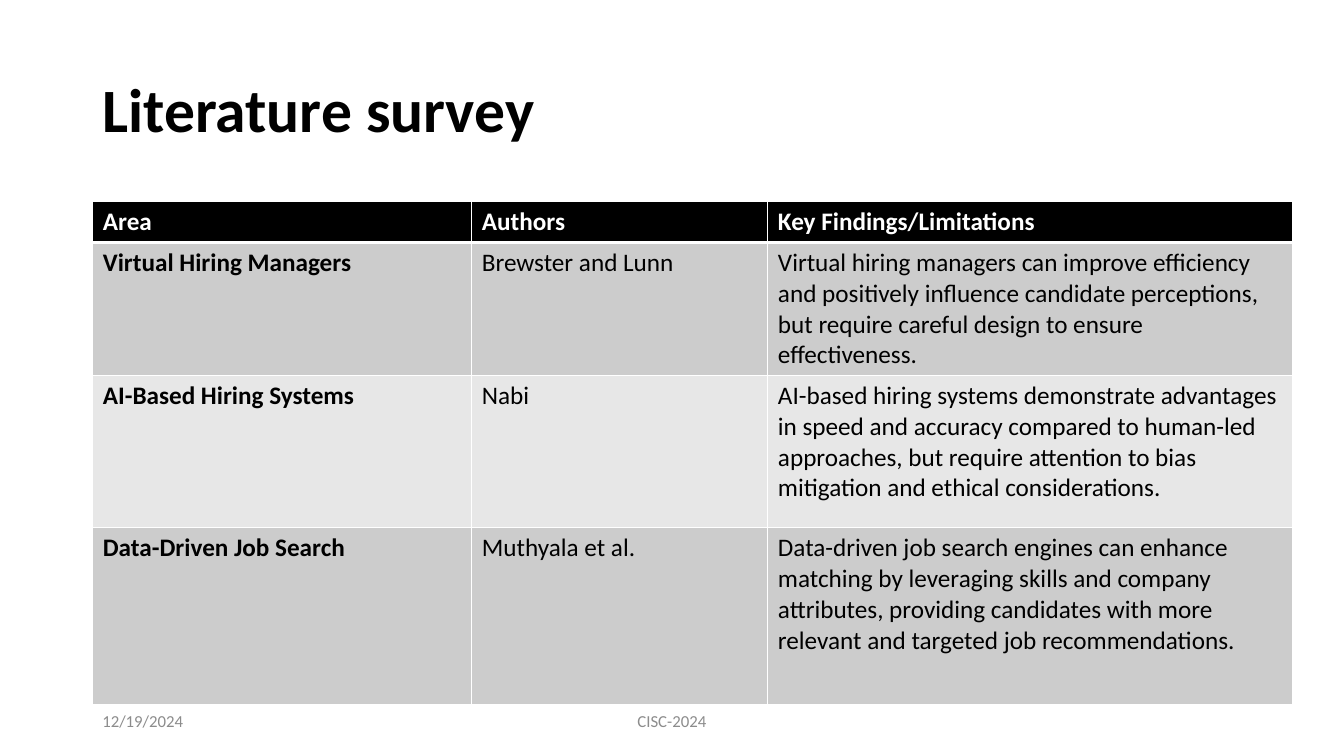
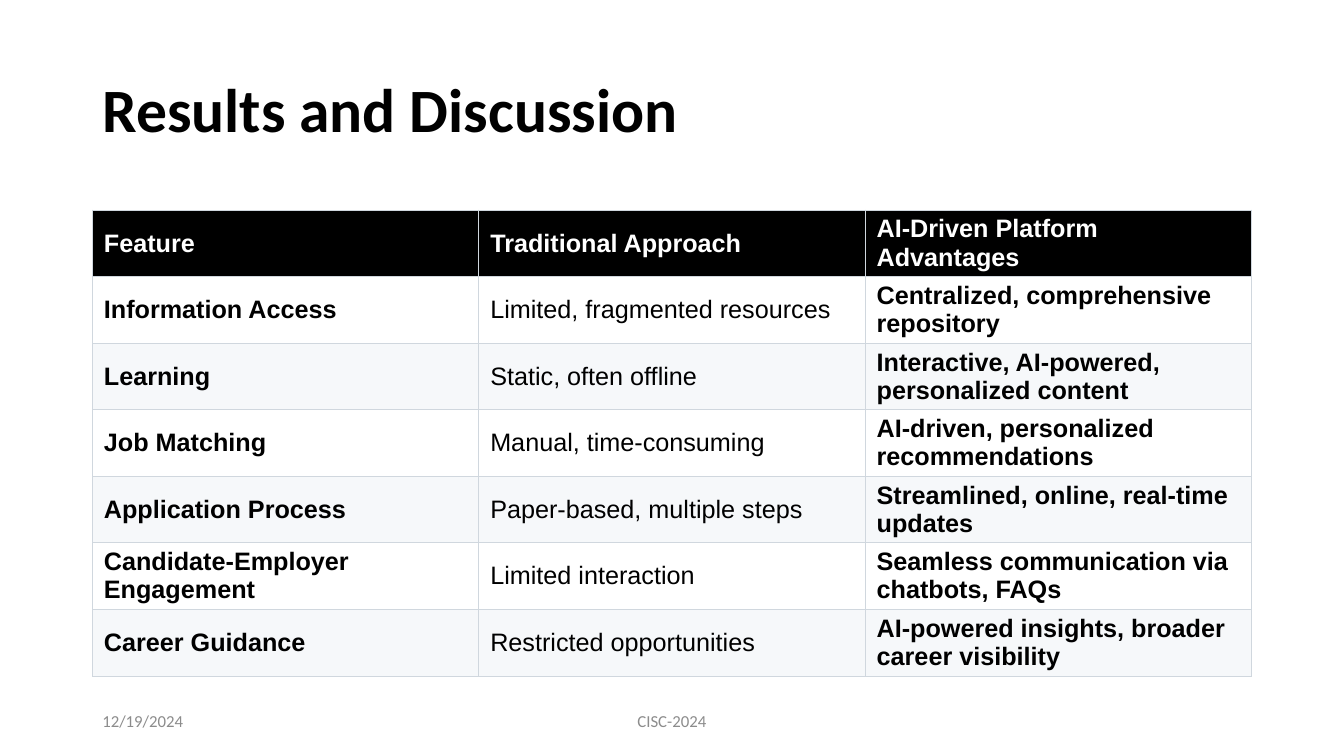
"""Builds two slides, each with a title, a comparison table and a footer."""
from dataclasses import dataclass

from lxml.etree import SubElement
from pptx import Presentation
from pptx.dml.color import RGBColor
from pptx.enum.text import MSO_ANCHOR as Anchor, MSO_AUTO_SIZE as AutoSize, PP_ALIGN as Align
from pptx.oxml.ns import qn
from pptx.util import Emu, Pt

EMU_PER_PX = 9525
TITLE_ONLY_LAYOUT = 5


@dataclass(frozen=True)
class Theme:
    heading_font: str = "Calibri"
    title_size: int = 44
    table_size: int = 18
    footer_size: int = 12
    black: str = "000000"
    white: str = "FFFFFF"
    footer_grey: str = "8C8C8C"
    dark_band: str = "CCCCCC"
    light_band: str = "E7E7E7"
    pale_band: str = "F6F8FA"
    pale_border: str = "D0D7DE"


@dataclass(frozen=True)
class Box:
    left: int
    top: int
    width: int
    height: int


@dataclass(frozen=True)
class Footer:
    text: str
    box: Box
    alignment: Align


@dataclass(frozen=True)
class TableStyle:
    font: str
    bands: tuple[str, str]
    bold_columns: tuple[int, ...]
    anchor: Anchor
    side_margin: int
    border_color: str
    border_width: float
    header_rule_width: float


@dataclass(frozen=True)
class TableSlide:
    title: str
    left: int
    top: int
    columns: tuple[int, ...]
    row_heights: tuple[int, ...]
    rows: tuple[tuple[str, ...], ...]
    style: TableStyle


THEME = Theme()
TITLE_BOX = Box(88, 38, 1104, 139)
FOOTERS = (
    Footer("12/19/2024", Box(88, 667, 288, 38), Align.LEFT),
    Footer("CISC-2024", Box(424, 667, 432, 38), Align.CENTER),
)

SURVEY = TableSlide(
    "Literature survey", 88, 192, (361, 282, 500), (38, 124, 145, 168),
    (
        ("Area", "Authors", "Key Findings/Limitations"),
        ("Virtual Hiring Managers", "Brewster and Lunn",
         "Virtual hiring managers can improve efficiency and positively influence "
         "candidate perceptions, but require careful design to ensure effectiveness."),
        ("AI-Based Hiring Systems", "Nabi",
         "AI-based hiring systems demonstrate advantages in speed and accuracy compared to "
         "human-led approaches, but require attention to bias mitigation and ethical "
         "considerations."),
        ("Data-Driven Job Search", "Muthyala et al.",
         "Data-driven job search engines can enhance matching by leveraging skills and "
         "company attributes, providing candidates with more relevant and targeted job "
         "recommendations."),
    ),
    TableStyle("Calibri", (THEME.dark_band, THEME.light_band), (0,), Anchor.TOP, 10,
               THEME.white, 1, 3),
)

RESULTS = TableSlide(
    "Results and Discussion", 88, 200, (368,) * 3, (63,) * 7,
    (
        ("Feature", "Traditional Approach", "AI-Driven Platform Advantages"),
        ("Information Access", "Limited, fragmented resources",
         "Centralized, comprehensive repository"),
        ("Learning", "Static, often offline",
         "Interactive, AI-powered, personalized content"),
        ("Job Matching", "Manual, time-consuming",
         "AI-driven, personalized recommendations"),
        ("Application Process", "Paper-based, multiple steps",
         "Streamlined, online, real-time updates"),
        ("Candidate-Employer Engagement", "Limited interaction",
         "Seamless communication via chatbots, FAQs"),
        ("Career Guidance", "Restricted opportunities",
         "AI-powered insights, broader career visibility"),
    ),
    TableStyle("Arial", (THEME.white, THEME.pale_band), (0, 2), Anchor.MIDDLE, 11,
               THEME.pale_border, 0.6, 0.6),
)


def px(length: int) -> Emu:
    """Convert whole pixels to EMU."""
    return Emu(length * EMU_PER_PX)


def frame(box: Box) -> tuple[Emu, Emu, Emu, Emu]:
    """Return a box as left, top, width and height in EMU."""
    return px(box.left), px(box.top), px(box.width), px(box.height)


def add_run(paragraph, text: str, font: str, size: int, color: str, bold: bool = False) -> None:
    """Append one formatted run to a paragraph."""
    run = paragraph.add_run()
    run.text = text
    run.font.name = font
    run.font.size = Pt(size)
    run.font.bold = bold
    run.font.color.rgb = RGBColor.from_string(color)


def add_title(slide, text: str) -> None:
    """Place and fill the title placeholder."""
    title = slide.shapes.title
    title.left, title.top, title.width, title.height = frame(TITLE_BOX)
    text_frame = title.text_frame
    text_frame.auto_size = AutoSize.NONE
    text_frame.vertical_anchor = Anchor.MIDDLE
    paragraph = text_frame.paragraphs[0]
    paragraph.alignment = Align.LEFT
    paragraph.line_spacing = 0.9
    add_run(paragraph, text, THEME.heading_font, THEME.title_size, THEME.black, True)


def add_footer(slide, footer: Footer) -> None:
    """Add one footer text."""
    text_frame = slide.shapes.add_textbox(*frame(footer.box)).text_frame
    text_frame.word_wrap = True
    text_frame.vertical_anchor = Anchor.MIDDLE
    paragraph = text_frame.paragraphs[0]
    paragraph.alignment = footer.alignment
    add_run(paragraph, footer.text, THEME.heading_font, THEME.footer_size, THEME.footer_grey)


def add_borders(cell, style: TableStyle, row_index: int) -> None:
    """Draw the four borders of a cell, with the rule below the header row."""
    widths = dict.fromkeys(("lnL", "lnR", "lnT", "lnB"), style.border_width)
    if row_index == 0:
        widths["lnB"] = style.header_rule_width
    elif row_index == 1:
        widths["lnT"] = style.header_rule_width
    properties = cell._tc.get_or_add_tcPr()
    for side, width in widths.items():
        line = SubElement(properties, qn(f"a:{side}"), w=str(int(Pt(width))))
        fill = SubElement(line, qn("a:solidFill"))
        SubElement(fill, qn("a:srgbClr"), val=style.border_color)


def fill_cell(cell, text: str, row_index: int, column_index: int, style: TableStyle) -> None:
    """Format one table cell and write its text."""
    is_header = row_index == 0
    add_borders(cell, style, row_index)
    cell.fill.solid()
    background = THEME.black if is_header else style.bands[(row_index - 1) % 2]
    cell.fill.fore_color.rgb = RGBColor.from_string(background)
    cell.vertical_anchor = style.anchor
    cell.margin_left = cell.margin_right = px(style.side_margin)
    add_run(cell.text_frame.paragraphs[0], text, style.font, THEME.table_size,
            THEME.white if is_header else THEME.black,
            is_header or column_index in style.bold_columns)


def add_table(slide, content: TableSlide) -> None:
    """Add the table of a slide."""
    box = Box(content.left, content.top, sum(content.columns), sum(content.row_heights))
    table = slide.shapes.add_table(
        len(content.rows), len(content.columns), *frame(box)).table
    table.horz_banding = False
    for column, width in zip(table.columns, content.columns):
        column.width = px(width)
    for row, height in zip(table.rows, content.row_heights):
        row.height = px(height)
    for row_index, texts in enumerate(content.rows):
        for column_index, text in enumerate(texts):
            fill_cell(table.cell(row_index, column_index), text,
                      row_index, column_index, content.style)


def main() -> None:
    """Build and save the presentation."""
    presentation = Presentation()
    presentation.slide_width, presentation.slide_height = px(1280), px(720)
    for content in (SURVEY, RESULTS):
        slide = presentation.slides.add_slide(presentation.slide_layouts[TITLE_ONLY_LAYOUT])
        add_title(slide, content.title)
        add_table(slide, content)
        for footer in FOOTERS:
            add_footer(slide, footer)
    presentation.save("out.pptx")


if __name__ == "__main__":
    main()
